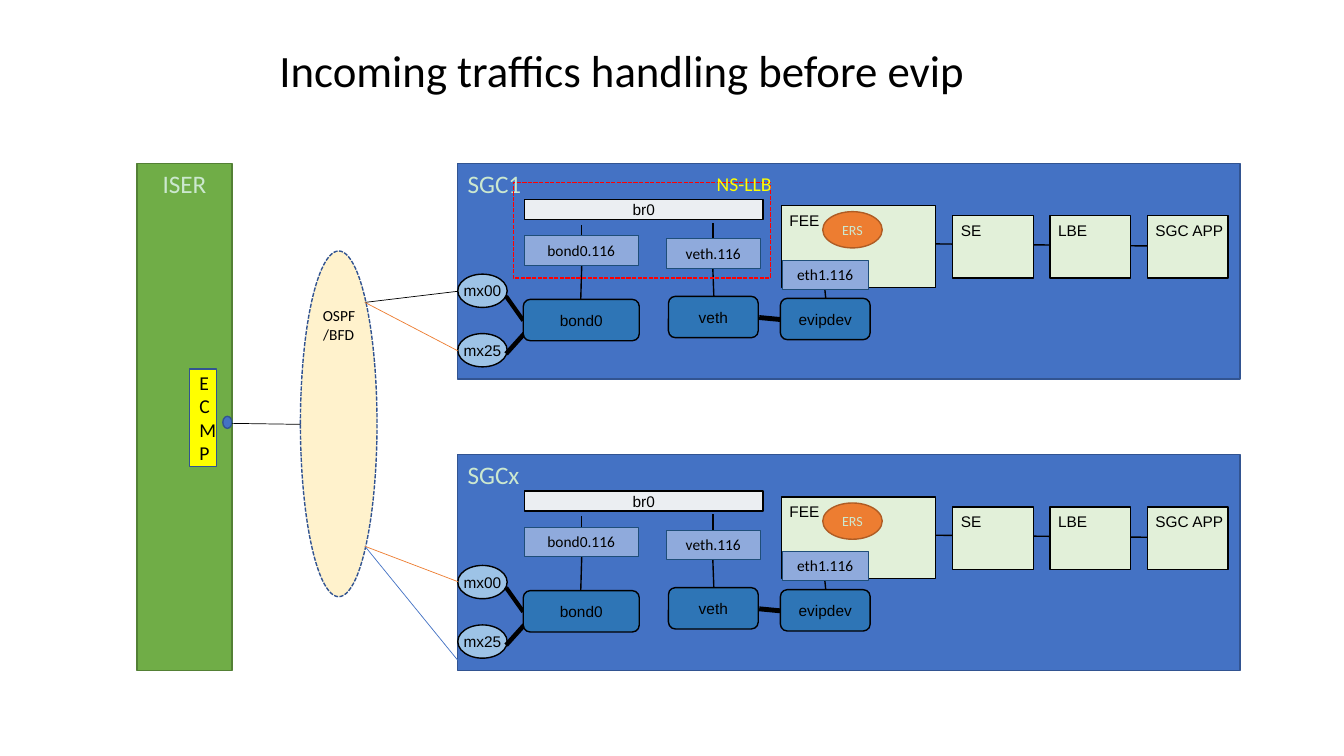
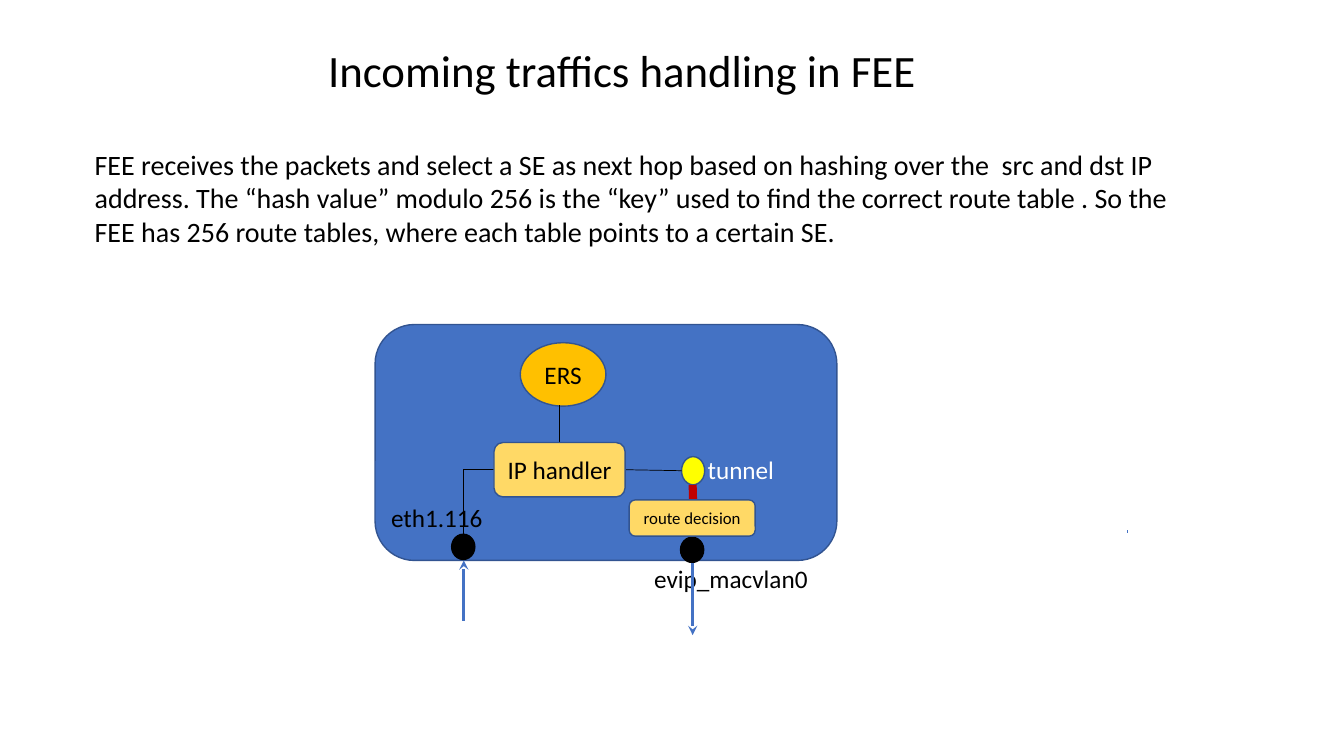
from lxml import etree
from pptx import Presentation
from pptx import util as u
from pptx.dml.color import RGBColor
from pptx.enum import dml, shapes, text
from pptx.oxml import ns

HUE = {
    "page": "FFFFFF", "ink": "000000", "mint": "CCE8CF", "blue": "4472C4",
    "navy": "325491", "green": "70AD47", "moss": "538035", "leaf": "E2F0D9",
    "fog": "EBEEF2", "sky": "9DC3E6", "steel": "2E75B6", "haze": "8FAADC",
    "deep": "1F4E79", "rust": "ED7D31", "clay": "AF5C24", "cream": "FFF2CC",
    "sun": "FFFF00", "gold": "FFC000", "sand": "FFD966", "red": "FF0000",
    "wine": "C00000",
}
RECT, ROUND, OVAL = (shapes.MSO_SHAPE.RECTANGLE,
                     shapes.MSO_SHAPE.ROUNDED_RECTANGLE,
                     shapes.MSO_SHAPE.OVAL)
LEFT, MID = text.PP_ALIGN.LEFT, text.PP_ALIGN.CENTER
TOP, CORE = text.MSO_ANCHOR.TOP, text.MSO_ANCHOR.MIDDLE
TIGHT = {"margin_left": u.Inches(0.08), "margin_right": u.Inches(0.08),
         "word_wrap": False}


def tone(name):
    return RGBColor.from_string(HUE[name])


def assign(item, values):
    for key, value in values.items():
        setattr(item, key, value)


class Deck:
    face = "Calibri"

    def __init__(self):
        self.deck = Presentation()
        assign(self.deck, {"slide_width": u.Inches(13.33),
                           "slide_height": u.Inches(7.5)})

    def page(self, title):
        self.slide = self.deck.slides.add_slide(self.deck.slide_layouts[6])
        fill = self.slide.background.fill
        fill.solid()
        fill.fore_color.rgb = tone("page")
        self.label(title, 0.42, 0, 11.5, 1.45, 32, align=MID, anchor=CORE,
                   gap=0.9)

    def letter(self, item, words, size, ink="ink", face=None, align=MID,
               anchor=CORE, gap=None, frame=None):
        body = item.text_frame
        assign(body, {"word_wrap": True, "vertical_anchor": anchor,
                      **(frame or {})})
        para = body.paragraphs[0]
        assign(para, {"alignment": align, "line_spacing": gap})
        run = para.add_run()
        run.text = words
        assign(run.font, {"name": face or self.face, "size": u.Pt(size)})
        run.font.color.rgb = tone(ink)

    def label(self, words, x, y, w, h, size, ink="ink", align=LEFT,
              anchor=TOP, **style):
        item = self.slide.shapes.add_textbox(*map(u.Inches, (x, y, w, h)))
        self.letter(item, words, size, ink, align=align, anchor=anchor, **style)

    def box(self, kind, x, y, w, h, fill, edge="navy", words="", size=11,
            weight=1, dash=False, **style):
        item = self.slide.shapes.add_shape(kind, *map(u.Inches, (x, y, w, h)))
        item.shadow.inherit = False
        if fill:
            item.fill.solid()
            item.fill.fore_color.rgb = tone(fill)
        else:
            item.fill.background()
        item.line.color.rgb = tone(edge)
        item.line.width = u.Pt(weight)
        if dash:
            item.line.dash_style = dml.MSO_LINE.SQUARE_DOT
        if words:
            self.letter(item, words, size, **style)

    def node(self, kind, x, y, w, h, fill, words, **style):
        self.box(kind, x, y, w, h, fill, "ink", words, face="Arial",
                 frame=TIGHT, **style)

    def wire(self, x, y, right, down, ink="ink", weight=1, arrow=False,
             bent=False):
        kind = shapes.MSO_CONNECTOR.ELBOW if bent else shapes.MSO_CONNECTOR.STRAIGHT
        item = self.slide.shapes.add_connector(
            kind, *map(u.Inches, (x, y, right, down)))
        item.line.color.rgb = tone(ink)
        item.line.width = u.Pt(weight)
        props = item._element.spPr
        if bent:
            props.find(ns.qn("a:prstGeom")).set("prst", "bentConnector2")
        if arrow:
            etree.SubElement(props.find(ns.qn("a:ln")), ns.qn("a:tailEnd"),
                             type="stealth")
        etree.SubElement(props, ns.qn("a:effectLst"))

    def host(self, name, top):
        self.box(RECT, 4.54, top, 7.76, 2.14, "blue", words=name, size=18,
                 ink="mint", align=LEFT, anchor=TOP)
        self.wire(9.28, top + 0.8, 11.38, top + 0.82)
        self.node(RECT, 7.75, top + 0.42, 1.53, 0.81, "leaf", "FEE",
                  align=LEFT, anchor=TOP)
        self.node(RECT, 5.2, top + 0.36, 2.37, 0.2, "fog", "br0")
        for port, y in (("mx00", 1.1), ("mx25", 1.69)):
            self.node(OVAL, 4.54, top + y, 0.49, 0.33, "sky", port)
        for x, y, right, down, weight in (
                (5.19, 1.56, 5.02, 1.32, 3), (5.02, 1.89, 5.2, 1.69, 3.25),
                (5.77, 1.01, 5.76, 1.35, 1), (7.07, 1.04, 7.08, 1.32, 1),
                (8.18, 1.24, 8.19, 1.34, 1), (7.53, 1.53, 7.74, 1.55, 3.5),
                (5.77, 0.72, 5.77, 0.61, 1), (7.07, 0.75, 7.07, 0.59, 1)):
            self.wire(x, top + y, right, top + down, weight=weight)
        for words, x, y, w in (("bond0", 5.19, 1.35, 1.15),
                               ("veth", 6.63, 1.32, 0.89),
                               ("evipdev", 7.74, 1.34, 0.89)):
            self.node(ROUND, x, top + y, w, 0.41, "steel", words)
        for words, x, y, w in (("bond0.116", 5.2, 0.72, 1.13),
                               ("veth.116", 6.61, 0.75, 0.93),
                               ("eth1.116", 7.76, 0.96, 0.85)):
            self.box(RECT, x, top + y, w, 0.29, "haze", "deep", words,
                     weight=0.75, anchor=TOP)
        for step, words in enumerate(("SE", "LBE", "SGC APP")):
            self.node(RECT, 9.45 + 0.965 * step, top + 0.52, 0.8, 0.62,
                      "leaf", words, align=LEFT, anchor=TOP)
        self.box(OVAL, 8.16, top + 0.48, 0.59, 0.36, "rust", "clay", "ERS",
                 10, ink="mint")


show = Deck()

show.page("Incoming traffics handling before evip")
for name, top in (("SGC1", 1.62), ("SGCx", 4.51)):
    show.host(name, top)
show.box(RECT, 1.36, 1.62, 0.94, 5.03, "green", "moss", "ISER", 18,
         ink="mint", anchor=TOP)
show.box(OVAL, 2.21, 4.13, 0.09, 0.12, "blue")
show.box(OVAL, 2.98, 2.49, 0.76, 3.43, "cream", words="OSPF/BFD", dash=True,
         anchor=TOP)
for x, y, right, down, ink in (
        (2.3, 4.2, 2.98, 4.21, "ink"), (3.62, 3, 4.54, 2.89, "ink"),
        (3.62, 5.42, 4.54, 6.55, "blue"), (4.54, 3.48, 3.62, 3, "rust"),
        (4.54, 5.77, 3.62, 5.42, "rust")):
    show.wire(x, y, right, down, ink, 0.5)
show.box(RECT, 1.88, 3.66, 0.27, 0.97, "sun", words="ECMP", size=14)
show.box(RECT, 5.09, 1.81, 2.55, 0.95, None, "red", dash=True)
show.label("NS-LLB", 7.01, 1.66, 0.75, 0.34, 14, "sun",
           frame={"word_wrap": False})

show.page("Incoming traffics handling in FEE")
show.box(ROUND, 3.72, 3.22, 4.58, 2.34, "blue")
show.label("FEE receives the packets and select a SE as next hop based on "
           "hashing over the  src and dst IP address. The “hash value” modulo "
           "256 is the “key” used to find the correct route table . So the FEE "
           "has 256 route tables, where each table points to a certain SE.",
           0.84, 1.41, 11.24, 1.41, 20)
show.box(OVAL, 5.16, 3.4, 0.85, 0.63, "gold", words="ERS", size=18)
for x, y in ((4.48, 5.3), (6.75, 5.33)):
    show.box(OVAL, x, y, 0.23, 0.25, "ink", "ink")
for words, x, y, w, ink in (("eth1.116", 3.78, 4.93, 1.12, "ink"),
                            ("evip_macvlan0", 6.39, 5.54, 1.73, "ink"),
                            ("tunnel", 6.92, 4.46, 0.87, "page")):
    show.label(words, x, y, w, 0.4, 18, ink, frame={"word_wrap": False})
show.box(OVAL, 6.76, 4.53, 0.23, 0.28, "sun")
for x, y, right, down, ink, weight in (
        (11.18, 5.26, 11.18, 5.29, "blue", 0.5),
        (6.84, 4.91, 6.87, 4.81, "blue", 0.5),
        (6.87, 4.81, 6.88, 5.18, "wine", 5.75),
        (5.55, 4.02, 5.55, 4.39, "ink", 0.5),
        (6.2, 4.66, 6.76, 4.67, "ink", 0.5)):
    show.wire(x, y, right, down, ink, weight)
show.wire(4.9, 4.66, 4.6, 5.3, weight=0.5, bent=True)
for x, y, down in ((4.6, 6.16, 5.56), (6.87, 5.59, 6.3)):
    show.wire(x, y, x, down, "blue", 2.25, arrow=True)
for words, x, y, w, h, size in (("IP handler", 4.9, 4.39, 1.3, 0.54, 18),
                                ("route decision", 6.24, 4.96, 1.25, 0.36, 12)):
    show.box(ROUND, x, y, w, h, "sand", words=words, size=size)

show.deck.save("out.pptx")
